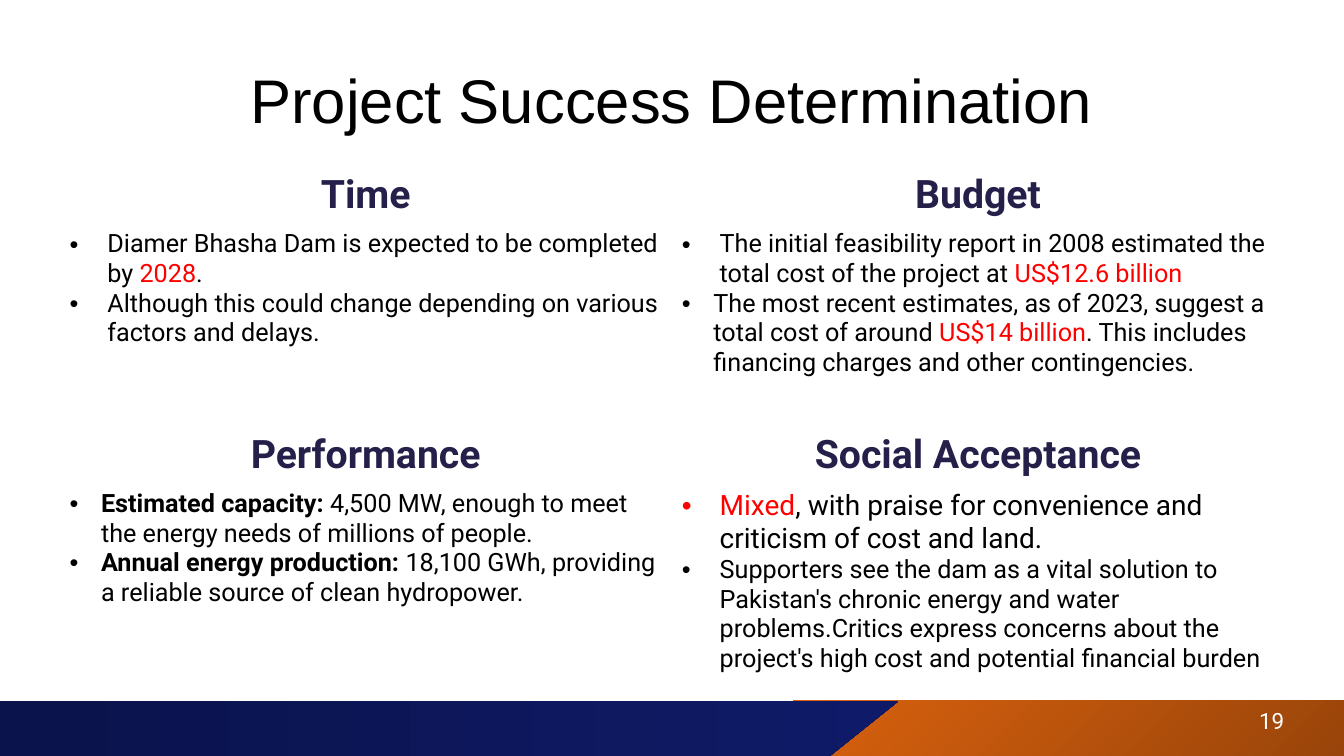
import pptx
import pptx.util
import pptx.dml.color
import pptx.enum.shapes
import pptx.enum.text
import pptx.oxml.ns
from lxml import etree

Pt = pptx.util.Pt
ALIGN = pptx.enum.text.PP_ALIGN
COLORS = {
    "black": "000000", "white": "FFFFFF", "red": "FF0000", "head": "24204A",
    "rust": "99440A", "orange": "DA620E", "navy": "0A1249", "blue": "0F1B68",
}
WIDE, SLIM = 27, 22.5  # bullet indents

# Each point: indent, then runs of text with their format
TIME = [
    (WIDE, [("Diamer Bhasha Dam is expected to be completed by ", {}),
            ("2028", {"color": "red"}), (".", {})]),
    (WIDE, [("Although this could change depending on various factors and delays.", {})]),
]
BUDGET = [
    (WIDE, [("The initial feasibility report in 2008 estimated the total cost of the project at ", {}),
            ("US$12.6 billion", {"color": "red"})]),
    (SLIM, [("The most recent estimates, as of 2023, suggest a total cost of around ", {}),
            ("US$14 billion", {"color": "red"}),
            (". This includes financing charges and other contingencies.", {})]),
]
OUTPUT = [
    (SLIM, [("Estimated capacity: ", {"bold": True}),
            ("4,500 MW, enough to meet the energy needs of millions of people.", {})]),
    (SLIM, [("Annual energy production: ", {"bold": True}),
            ("18,100 GWh, providing a reliable source of clean hydropower.", {})]),
]
SOCIAL = [
    (WIDE, [("Mixed", {"size": 20, "color": "red"}),
            (", with praise for convenience and criticism of cost and land.", {"size": 20})]),
    (WIDE, [("Supporters see the dam as a vital solution to Pakistan's chronic energy and water "
             "problems.Critics express concerns about the project's high cost and potential "
             "financial burden", {})]),
]
TOPICS = [
    [("Time", TIME), ("Budget", BUDGET)],
    [("Performance", OUTPUT), ("Social Acceptance", SOCIAL)],
]


def rgb(name):
    return pptx.dml.color.RGBColor.from_string(COLORS[name])


def write(para, text, size=18, color="black", bold=False, font="Roboto", align=None):
    run = para.add_run()
    run.text = text
    run.font.size = Pt(size)
    run.font.name = font
    run.font.bold = bold
    run.font.color.rgb = rgb(color)
    if align is not None:
        para.alignment = align


def label(slide, left, top, width, height, text, **style):
    frame = slide.shapes.add_textbox(Pt(left), Pt(top), Pt(width), Pt(height)).text_frame
    frame.word_wrap = True
    frame.vertical_anchor = pptx.enum.text.MSO_ANCHOR.MIDDLE
    write(frame.paragraphs[0], text, **style)
    return frame


def band(slide, left, width, slant, start, end, angle):
    shape = slide.shapes.add_shape(pptx.enum.shapes.MSO_SHAPE.PARALLELOGRAM,
                                   Pt(left), Pt(500.4), Pt(width), Pt(40))
    shape.adjustments[0] = slant
    shape.shadow.inherit = False
    shape.line.fill.background()
    shape.fill.gradient()
    shape.fill.gradient_angle = angle
    for stop, place, name in zip(shape.fill.gradient_stops, (0, 1), (start, end)):
        stop.position = place
        stop.color.rgb = rgb(name)


def bullet(para, indent):
    props = para._p.get_or_add_pPr()
    props.set("marL", str(Pt(indent)))
    props.set("indent", str(-Pt(indent)))
    for tag, key, value in (("a:buFont", "typeface", "Arial"), ("a:buChar", "char", "•")):
        etree.SubElement(props, pptx.oxml.ns.qn(tag)).set(key, value)


def fill(cell):
    cell.fill.solid()
    cell.fill.fore_color.rgb = rgb("white")


def points(cell, items):
    frame = cell.text_frame
    for i, (indent, runs) in enumerate(items):
        para = frame.add_paragraph() if i else frame.paragraphs[0]
        bullet(para, indent)
        for text, style in runs:
            write(para, text, **style)


def grid(slide):
    heights = (39.6, 144.7, 39.6, 123.8)
    table = slide.shapes.add_table(4, 2, Pt(42.5), Pt(119.5), Pt(874.8), Pt(sum(heights))).table
    for row, height in zip(table.rows, heights):
        row.height = Pt(height)
    for i, pair in enumerate(TOPICS):
        for col, (name, items) in enumerate(pair):
            head, body = table.cell(2 * i, col), table.cell(2 * i + 1, col)
            fill(head)
            fill(body)
            write(head.text_frame.paragraphs[0], name, size=28, color="head",
                  bold=True, align=ALIGN.CENTER)
            points(body, items)


def main():
    deck = pptx.Presentation()
    deck.slide_width, deck.slide_height = Pt(960), Pt(540)
    slide = deck.slides.add_slide(deck.slide_layouts[6])

    # Footer bands
    band(slide, 566.6, 393.8, 0, "rust", "orange", 135)
    band(slide, -55.4, 697.7, 1.25, "navy", "blue", 0)

    # Title and slide number
    title = label(slide, 42.5, 28.8, 874.8, 90.7, "Project Success Determination",
                  size=44, font="Arial", align=ALIGN.CENTER)
    title.paragraphs[0].line_spacing = 0.9
    label(slide, 678.2, 500.4, 246.2, 28.8, "19", size=16, color="white", align=ALIGN.RIGHT)

    # Four topics
    grid(slide)
    deck.save("out.pptx")


if __name__ == "__main__":
    main()
